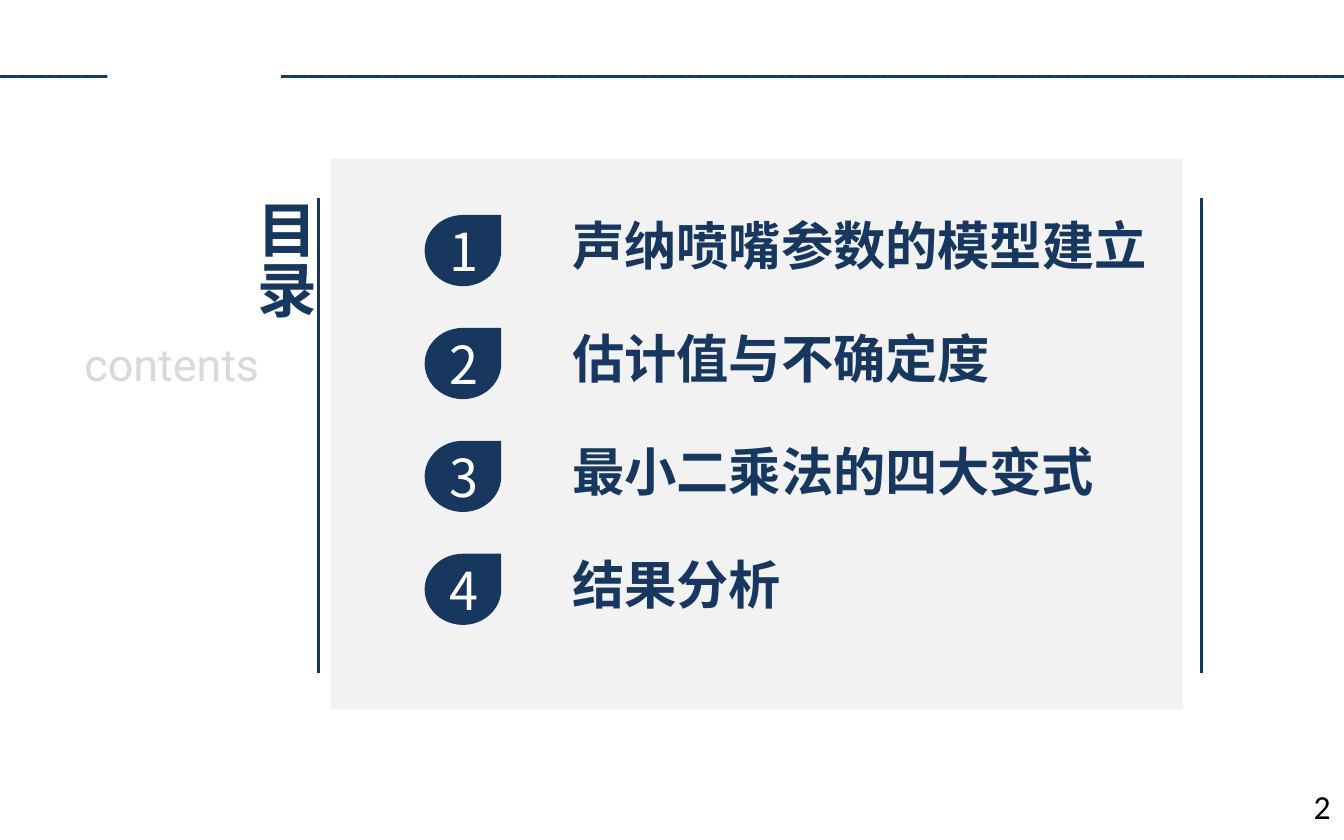
from dataclasses import dataclass

from lxml import etree
from pptx import Presentation
from pptx.dml.color import RGBColor
from pptx.enum import dml, shapes, text
from pptx.oxml.ns import qn
from pptx.util import Inches, Pt


@dataclass(frozen=True)
class Theme:
    navy: str = "17375E"
    blue: str = "0070C0"
    panel: str = "F2F2F2"
    pale: str = "D9D9D9"
    white: str = "FFFFFF"
    black: str = "000000"
    cjk: str = "Noto Sans CJK SC"
    latin: str = "Roboto"
    plain: str = "Calibri"
    title: int = 32
    item: int = 28
    sub: int = 24
    page: int = 18
    rule: float = 1.5


@dataclass(frozen=True)
class Box:
    left: float
    top: float
    width: float
    height: float

    def emu(self) -> list:
        return [Inches(v) for v in (self.left, self.top, self.width, self.height)]


@dataclass(frozen=True)
class Item:
    label: str
    width: float


THEME = Theme()
ITEMS = [
    Item("声纳喷嘴参数的模型建立", 4.85),
    Item("估计值与不确定度", 3.88),
    Item("最小二乘法的四大变式", 4.37),
    Item("结果分析", 3.2),
]
FIRST, STEP = 1.6, 0.84
BARS = [Box(2.09, 0.56, 7.91, 0.02), Box(0, 0.56, 0.8, 0.02)]
RULES = [2.37, 8.94]


def rgb(code: str) -> RGBColor:
    return RGBColor.from_string(code)


def write(frame, words: str, size: int, face: str, color: str,
          bold: bool = False, align=None) -> None:
    para = frame.paragraphs[0]
    para.alignment = align
    run = para.add_run()
    run.text = words
    run.font.color.rgb = rgb(color)
    for key, value in {"size": Pt(size), "name": face, "bold": bold}.items():
        setattr(run.font, key, value)
    # East Asian glyphs take their face from a:ea
    east = etree.SubElement(run.font._element, qn("a:ea"))
    east.set("typeface", face)


def label(slide, box: Box, words: str, size: int, face: str, color: str,
          bold: bool = False, align=None, wrap: bool = True, grow: bool = True):
    frame = slide.shapes.add_textbox(*box.emu()).text_frame
    fit = text.MSO_AUTO_SIZE
    form = {
        "word_wrap": wrap,
        "auto_size": fit.SHAPE_TO_FIT_TEXT if grow else fit.NONE,
    }
    for key, value in form.items():
        setattr(frame, key, value)
    write(frame, words, size, face, color, bold, align)
    return frame


def block(slide, kind, box: Box, color: str):
    shape = slide.shapes.add_shape(kind, *box.emu())
    shape.shadow.inherit = False
    shape.line.fill.background()
    shape.fill.solid()
    shape.fill.fore_color.rgb = rgb(color)
    return shape


def bar(slide, box: Box) -> None:
    """Draw a finely dotted band across the page head."""
    fill = block(slide, shapes.MSO_SHAPE.RECTANGLE, box, THEME.navy).fill
    fill.patterned()
    fill.pattern = dml.MSO_PATTERN.PERCENT_50
    fill.fore_color.rgb = rgb(THEME.blue)
    fill.back_color.rgb = rgb(THEME.navy)


def rule(slide, x: float) -> None:
    """Draw an upright line beside the panel."""
    ends = [Inches(v) for v in (x, 1.47, x, 5.01)]
    line = slide.shapes.add_connector(shapes.MSO_CONNECTOR.STRAIGHT, *ends)
    line.line.color.rgb = rgb(THEME.navy)
    line.line.width = Pt(THEME.rule)
    etree.SubElement(line._element.spPr, qn("a:effectLst"))


def entry(slide, index: int, item: Item) -> None:
    """Draw a numbered drop and its chapter name."""
    top = FIRST + index * STEP
    drop = block(slide, shapes.MSO_SHAPE.TEAR, Box(3.16, top, 0.57, 0.53), THEME.navy)
    drop.text_frame.vertical_anchor = text.MSO_ANCHOR.MIDDLE
    write(drop.text_frame, str(index + 1), THEME.item, THEME.cjk, THEME.white,
          align=text.PP_ALIGN.CENTER)
    label(slide, Box(4.16, top - 0.06, item.width, 0.57), item.label,
          THEME.item, THEME.cjk, THEME.navy, bold=True)


def main() -> None:
    deck = Presentation()
    deck.slide_width, deck.slide_height = Inches(10), Inches(6.25)
    slide = deck.slides.add_slide(deck.slide_layouts[6])
    for box in BARS:
        bar(slide, box)
    title = label(slide, Box(1.66, 1.39, 0.78, 0.99), "目录", THEME.title,
                  THEME.cjk, THEME.navy, bold=True, wrap=False)
    title._txBody.bodyPr.set("vert", "eaVert")
    for x in RULES:
        rule(slide, x)
    label(slide, Box(0.53, 2.46, 1.55, 0.54), "contents", THEME.sub,
          THEME.latin, THEME.pale, wrap=False)
    block(slide, shapes.MSO_SHAPE.RECTANGLE, Box(2.46, 1.18, 6.34, 4.1), THEME.panel)
    for index, item in enumerate(ITEMS):
        entry(slide, index, item)
    label(slide, Box(7.67, 5.8, 2.33, 0.33), "2", THEME.page, THEME.plain,
          THEME.black, align=text.PP_ALIGN.RIGHT, grow=False)
    deck.save("out.pptx")


if __name__ == "__main__":
    main()
